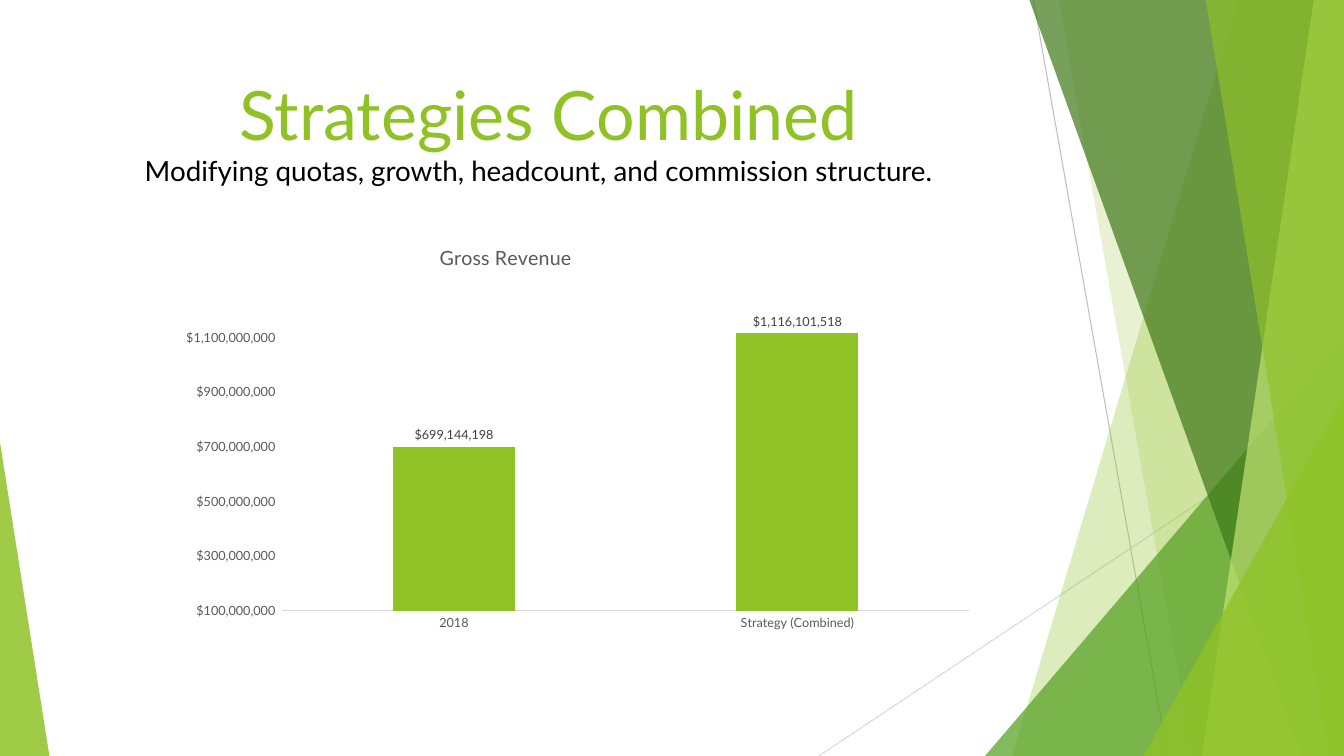
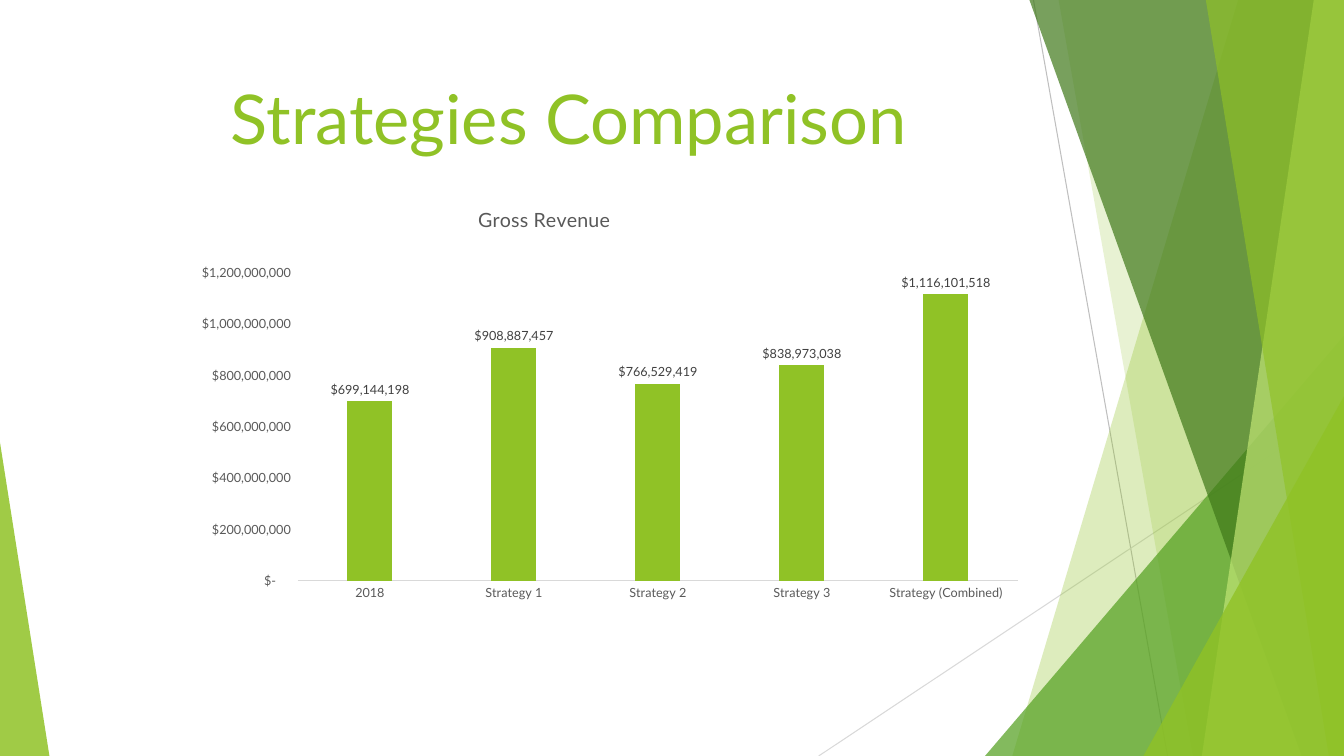
from lxml import etree
from pptx import Presentation
from pptx.chart.data import CategoryChartData as Data
from pptx.dml.color import RGBColor
from pptx.enum.chart import XL_CHART_TYPE as Kind, XL_LABEL_POSITION as Spot, XL_TICK_MARK as Tick
from pptx.enum.shapes import MSO_CONNECTOR as Link, MSO_SHAPE as Form
from pptx.enum.text import PP_ALIGN as Align
from pptx.oxml import parse_xml
from pptx.oxml.ns import nsdecls, qn
from pptx.util import Inches, Pt

LIME = RGBColor(0x90, 0xC2, 0x26)
GREEN = RGBColor(0x54, 0xA0, 0x21)
DARK = RGBColor(0x3F, 0x78, 0x19)
PALE = RGBColor(0xC0, 0xE4, 0x74)
BLACK = RGBColor(0, 0, 0)
LABEL = RGBColor(0x40, 0x40, 0x40)
GRAY = RGBColor(0x59, 0x59, 0x59)
SILVER = RGBColor(0xBF, 0xBF, 0xBF)
RULE = RGBColor(0xD9, 0xD9, 0xD9)

FONT = "Lato"
WIDE, HIGH = 13.33, 7.5
MONEY = '_("$"* #,##0_);_("$"* \\(#,##0\\);_("$"* "-"??_);_(@_)'
STEP = 200_000_000

LINES = [
    (10.25, 0, 11.58, HIGH, SILVER),
    (WIDE, 4.03, 8.12, HIGH, RULE),
]
FACETS = [
    ("band", (12.28, 10.04), LIME, 30),
    ("band", (10.5, 11.83), LIME, 20),
    ("peak", (9.77, 3.33, 3.56, 1), GREEN, 72),
    ("band", (10.21, 12.91), DARK, 70),
    ("band", (13.03, 11.92), PALE, 70),
    ("band", (11.96, 13.18), LIME, 65),
    ("peak", (11.34, 3.93, 1.99, 1), LIME, 80),
    ("peak", (0, 4.39, 0.49, 0), LIME, 85),
]
SLIDES = [
    {
        "texts": [
            ("Strategies Combined", (0.74, 0.67, 9.4, 0.88), 48.6, LIME),
            ("Modifying quotas, growth, headcount, and commission structure.",
             (0.64, 1.48, 9.4, 0.45), 19.8, BLACK),
        ],
        "box": (0.74, 2.25, 8.96, 4.14),
        "bars": {"2018": 699144198, "Strategy (Combined)": 1116101518},
        "low": 100_000_000,
        "gap": 182,
        "lap": 0,
        "plot": {"x": 0.23, "y": 0.2, "w": 0.76, "h": 0.72},
        "head": {"x": 0.4, "y": 0.03},
    },
    {
        "texts": [("Strategies Comparison", (0.94, 0.7, 9.4, 1.44), 49, LIME)],
        "box": (0.7, 1.86, 9.4, 4.24),
        "bars": {
            "2018": 699144198,
            "Strategy 1": 908887457,
            "Strategy 2": 766529419,
            "Strategy 3": 838973038,
            "Strategy (Combined)": 1116101518,
        },
        "low": 0,
        "gap": 219,
        "lap": -27,
        "plot": {"x": 0.24, "y": 0.2, "w": 0.76, "h": 0.72},
        "head": None,
    },
]


def style(font, size, color):
    font.name = FONT
    font.size = Pt(size)
    font.color.rgb = color


def add_line(shapes, x1, y1, x2, y2, color):
    line = shapes.add_connector(Link.STRAIGHT, *map(Inches, (x1, y1, x2, y2)))
    line.line.color.rgb = color
    line.line.width = Pt(0.75)
    etree.SubElement(line.element.spPr, qn("a:effectLst"))
    return line


def add_facet(shapes, kind, place, color, alpha):
    if kind == "band":
        top, base = place
        path = shapes.build_freeform(Inches(top), 0)
        ends = [(WIDE, 0), (WIDE, HIGH), (base, HIGH)]
        path.add_line_segments([(Inches(x), Inches(y)) for x, y in ends])
        facet = path.convert_to_shape()
    else:
        left, top, width, tip = place
        box = map(Inches, (left, top, width, HIGH - top))
        facet = shapes.add_shape(Form.ISOSCELES_TRIANGLE, *box)
        facet.adjustments[0] = tip
    facet.shadow.inherit = False
    facet.fill.solid()
    facet.fill.fore_color.rgb = color
    facet.line.fill.background()
    tint = next(facet.element.spPr.iter(qn("a:srgbClr")))
    etree.SubElement(tint, qn("a:alpha"), val=str(alpha * 1000))
    return facet


def dress(layout, shapes):
    tree = layout.shapes.element
    for holder in list(layout.placeholders):
        tree.remove(holder.element)
    parts = [add_line(shapes, *line) for line in LINES]
    parts += [add_facet(shapes, *facet) for facet in FACETS]
    for part in parts:
        tree.append(part.element)


def add_text(shapes, text, box, size, color):
    frame = shapes.add_textbox(*map(Inches, box)).text_frame
    frame.word_wrap = True
    frame.text = text
    para = frame.paragraphs[0]
    para.alignment = Align.CENTER
    style(para.runs[0].font, size, color)


def set_place(node, place, inner=False):
    for old in node.findall(qn("c:layout")):
        node.remove(old)
    target = '<c:layoutTarget val="inner"/>' if inner else ""
    modes = "".join(f'<c:{k}Mode val="edge"/>' for k in "xy")
    sizes = "".join(f'<c:{k} val="{v}"/>' for k, v in place.items())
    layout = parse_xml(
        f'<c:layout {nsdecls("c")}><c:manualLayout>{target}{modes}{sizes}'
        "</c:manualLayout></c:layout>"
    )
    text = node.find(qn("c:tx"))
    if text is None:
        node.insert(0, layout)
    else:
        text.addnext(layout)


def add_bars(shapes, item):
    data = Data(number_format=MONEY)
    data.categories = list(item["bars"])
    data.add_series("Gross Revenue", list(item["bars"].values()))
    box = map(Inches, item["box"])
    chart = shapes.add_chart(Kind.COLUMN_CLUSTERED, *box, data).chart
    style(chart.font, 10, BLACK)
    chart.has_legend = False
    chart.has_title = True
    title = chart.chart_title
    title.text_frame.text = "Gross Revenue"
    font = title.text_frame.paragraphs[0].runs[0].font
    style(font, 14, GRAY)
    font.bold = False
    title.include_in_layout = False

    cats, vals = chart.category_axis, chart.value_axis
    for axis in (cats, vals):
        axis.major_tick_mark = axis.minor_tick_mark = Tick.NONE
        axis.has_major_gridlines = False
        style(axis.tick_labels.font, 9, GRAY)
    cats.format.line.color.rgb = RULE
    cats.format.line.width = Pt(0.75)
    vals.format.line.fill.background()
    vals.minimum_scale = item["low"]
    vals.maximum_scale = 6 * STEP
    vals.major_unit = STEP
    vals.tick_labels.number_format = MONEY
    vals.tick_labels.number_format_is_linked = False

    plot = chart.plots[0]
    plot.vary_by_categories = False
    plot.gap_width = item["gap"]
    plot.overlap = item["lap"]
    fill = plot.series[0].format.fill
    fill.solid()
    fill.fore_color.rgb = LIME
    plot.has_data_labels = True
    labels = plot.data_labels
    labels.show_value = True
    labels.position = Spot.OUTSIDE_END
    labels.number_format = MONEY
    labels.number_format_is_linked = False
    style(labels.font, 9, LABEL)

    set_place(next(chart.element.iter(qn("c:plotArea"))), item["plot"], True)
    if item["head"]:
        set_place(next(chart.element.iter(qn("c:title"))), item["head"])


def main():
    deck = Presentation()
    deck.slide_width, deck.slide_height = Inches(WIDE), Inches(HIGH)
    blank = deck.slide_layouts[6]
    slides = [deck.slides.add_slide(blank) for item in SLIDES]
    dress(blank, slides[0].shapes)
    for slide, item in zip(slides, SLIDES):
        for text in item["texts"]:
            add_text(slide.shapes, *text)
        add_bars(slide.shapes, item)
    deck.save("out.pptx")


if __name__ == "__main__":
    main()
